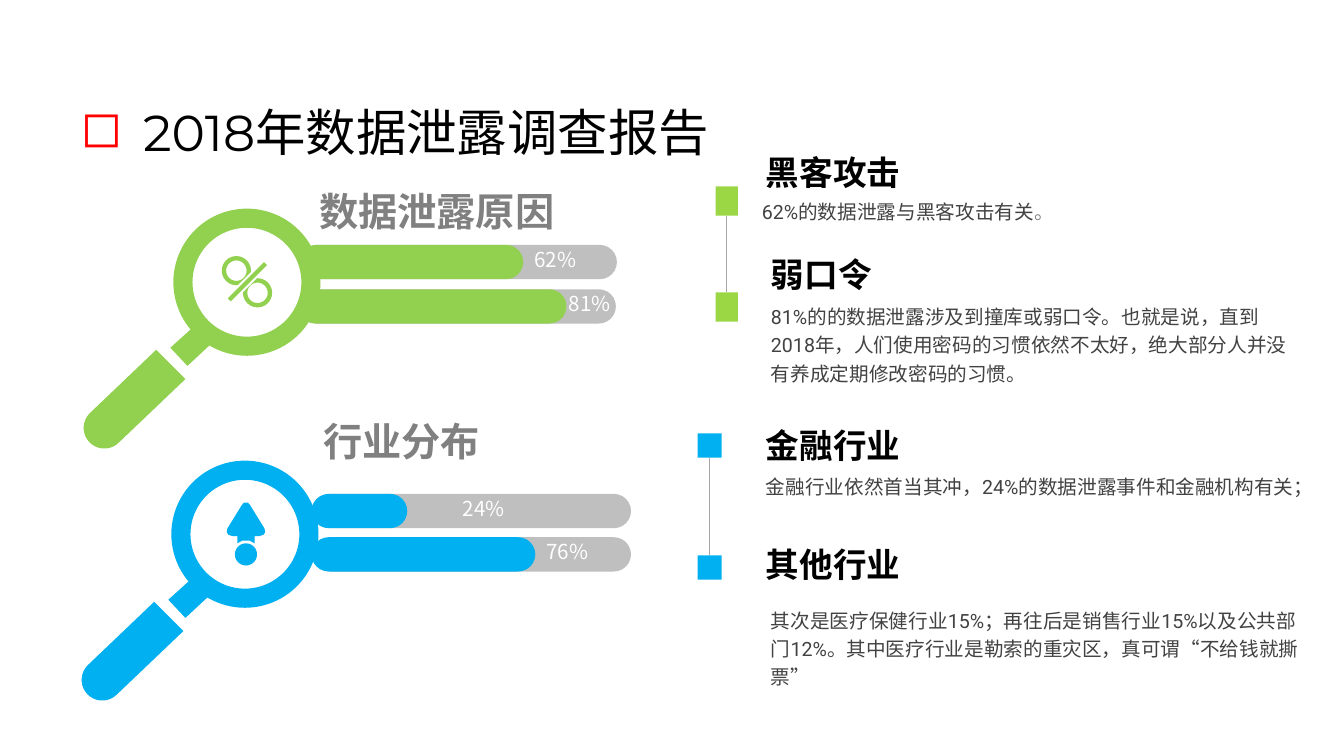
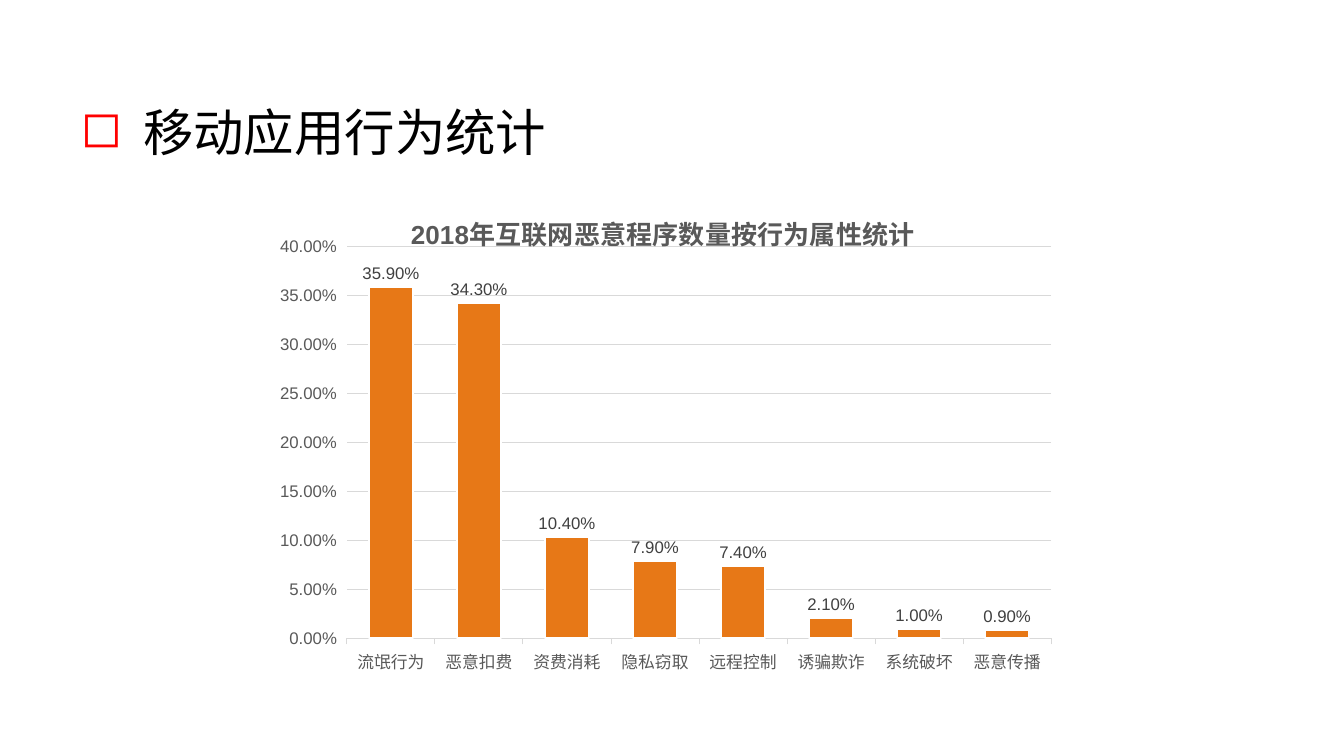
from dataclasses import dataclass
from math import cos, radians, sin

from lxml.etree import SubElement
from pptx import Presentation
from pptx.chart.data import CategoryChartData
from pptx.dml.color import RGBColor
from pptx.enum.chart import XL_CHART_TYPE, XL_LABEL_POSITION
from pptx.enum.lang import MSO_LANGUAGE_ID
from pptx.enum.shapes import MSO_CONNECTOR, MSO_SHAPE
from pptx.enum.text import MSO_ANCHOR, MSO_AUTO_SIZE, PP_ALIGN
from pptx.oxml.ns import qn
from pptx.util import Inches, Pt


@dataclass(frozen=True)
class Theme:
    """Colours, fonts and type sizes of the deck."""
    black: str = "000000"
    white: str = "FFFFFF"
    red: str = "FF0000"
    green: str = "92D050"
    lime: str = "9BD744"
    blue: str = "00B0F0"
    amber: str = "E77817"
    track: str = "BFBFBF"
    wire: str = "A6A6A6"
    grid: str = "D9D9D9"
    gray: str = "808080"
    dark: str = "424242"
    axis: str = "595959"
    label: str = "404040"
    hans: str = "Noto Sans CJK SC"
    body: str = "Roboto"
    head: str = "Montserrat"
    plain: str = "Arial"
    title: float = 36
    group: float = 28
    topic: float = 24
    text: float = 14
    value: float = 14.7
    tick: float = 12
    chart: float = 18.6


T = Theme()


def cell(count):
    """Turn grid cells of a tenth of an inch into a length."""
    return Inches(count / 10)


def rgb(code):
    """Turn a hex code into a colour."""
    return RGBColor.from_string(code)


def tint(font, size, color, name=T.plain):
    """Set size, colour and face of a font."""
    font.size, font.name = Pt(size), name
    font.color.rgb = rgb(color)


def put(para, text, size=T.text, color=T.dark, font=T.body, bold=False,
        lead=None, align=None):
    """Add a formatted run to a paragraph."""
    run = para.add_run()
    run.text = text
    tint(run.font, size, color, font)
    run.font.bold = bold
    run.font.language_id = MSO_LANGUAGE_ID.SIMPLIFIED_CHINESE
    face = SubElement(run.font._element, qn("a:ea"))
    face.set("typeface", T.hans)
    if lead:
        para.line_spacing = lead
    if align:
        para.alignment = align


def pin(node, index, **marks):
    """Give a chart part a manual layout."""
    old = node.find(qn("c:layout"))
    if old is not None:
        node.remove(old)
    root = node.makeelement(qn("c:layout"), {})
    node.insert(index, root)
    inner = SubElement(root, qn("c:manualLayout"))
    for tag, mark in marks.items():
        SubElement(inner, qn("c:" + tag)).set("val", str(mark))


class Deck:
    """Hold the presentation, its style and the current slide."""

    def __init__(self):
        """Open a wide deck."""
        self.file = Presentation()
        self.file.slide_width = cell(133.33)
        self.file.slide_height = cell(75)

    def page(self, title):
        """Start a slide with a bulleted title."""
        self.slide = self.file.slides.add_slide(self.file.slide_layouts[5])
        self.shapes = self.slide.shapes
        box = self.shapes.title
        box.left, box.top, box.width, box.height = map(cell, (7, 10.7, 113.5, 5.5))
        frame = box.text_frame
        frame.auto_size = MSO_AUTO_SIZE.NONE
        frame.vertical_anchor = MSO_ANCHOR.MIDDLE
        para = frame.paragraphs[0]
        props = para._p.get_or_add_pPr()
        props.set("marL", str(cell(6.2)))
        props.set("indent", str(-cell(6.2)))
        color = SubElement(props, qn("a:buClr"))
        SubElement(color, qn("a:srgbClr")).set("val", T.red)
        SubElement(props, qn("a:buChar")).set("char", "◻")
        put(para, title, T.title, T.black, T.head, lead=0.9, align=PP_ALIGN.LEFT)

    def text(self, words, x, y, w, h, pad=True, wrap=True, **form):
        """Add a text box and return its paragraph."""
        frame = self.shapes.add_textbox(*map(cell, (x, y, w, h))).text_frame
        frame.word_wrap = wrap
        if not pad:
            frame.margin_left = frame.margin_right = 0
            frame.margin_top = frame.margin_bottom = 0
        para = frame.paragraphs[0]
        put(para, words, **form)
        return para

    def paint(self, shape, color):
        """Fill a shape flat."""
        shape.shadow.inherit = False
        shape.fill.solid()
        shape.fill.fore_color.rgb = rgb(color)
        shape.line.fill.background()
        return shape

    def shape(self, kind, x, y, w, h, color, bend=None):
        """Add a preset shape."""
        form = self.shapes.add_shape(kind, *map(cell, (x, y, w, h)))
        if bend is not None:
            form.adjustments[0] = bend
        return self.paint(form, color)

    def form(self, spots, x, y, color):
        """Add a closed outline placed from a corner."""
        spots = [(cell(x + a), cell(y + b)) for a, b in spots]
        pen = self.shapes.build_freeform(*spots[0])
        pen.add_line_segments(spots[1:], close=True)
        return self.paint(pen.convert_to_shape(), color)

    def line(self, x, y, u, v, color, width):
        """Add a straight line."""
        wire = self.shapes.add_connector(
            MSO_CONNECTOR.STRAIGHT, *map(cell, (x, y, u, v)))
        wire.line.color.rgb = rgb(color)
        wire.line.width = Pt(width)
        SubElement(wire._element.spPr, qn("a:effectLst"))
        return wire

    def link(self, x, y, gap, w, h, color):
        """Add two squares joined by a thin line."""
        top, low = [self.shape(MSO_SHAPE.RECTANGLE, x, at, w, h, color)
                    for at in (y, y + gap)]
        mid = x + w / 2
        wire = self.line(mid, y + h, mid, y + gap, T.wire, 0.5)
        wire.begin_connect(top, 2)
        wire.end_connect(low, 0)

    def bar(self, x, y, start, width, color, words, mid):
        """Add a progress bar with its value."""
        for left, size, fill in ((x, 31.5, T.track), (start, width, color)):
            self.shape(MSO_SHAPE.ROUNDED_RECTANGLE, left, y, size, 3.4, fill, 0.5)
        self.text(words, mid - 3.6, y - 0.3, 7.2, 3.7, pad=False, size=T.value,
                  color=T.white, font=T.hans, lead=1.2, align=PP_ALIGN.CENTER)

    def lens(self, x, y, color):
        """Add a magnifying glass."""
        self.shape(MSO_SHAPE.DONUT, x, y, 14.6, 14.6, color, 0.13)
        self.form([(4.3, 12.9), (1.4, 15.6), (-0.3, 13.8), (2.7, 11.1)], x, y, color)
        turn = [radians(a) for a in range(225, 44, -10)]
        cap = [(2.05 * cos(a) - 6.85, 2.05 * sin(a) + 21.75) for a in turn]
        self.form([(-1.7, 14), *cap, (1.2, 16.9)], x, y, color)

    def ratio(self, x, y, color):
        """Add a percent sign."""
        for left, top in ((0, 0), (2.1, 2.2)):
            self.shape(MSO_SHAPE.DONUT, x + left, y + top, 2.9, 2.9, color, 0.15)
        for ink, width in ((T.white, 6), (color, 3)):
            self.line(x + 0.75, y + 4.35, x + 4.35, y + 0.75, ink, width)

    def arrow(self, x, y, color):
        """Add an upward arrow over a ball, centred on x."""
        half = [(0.2, 0.07), (0.4, 0.3), (1.85, 2.65), (1.9, 3), (1.75, 3.25),
                (1.3, 3.4), (0.85, 3.4), (0.85, 4.1), (0.4, 3.85)]
        self.form(half + [(-a, b) for a, b in reversed(half)], x, y, color)
        self.shape(MSO_SHAPE.OVAL, x - 1.1, y + 4.1, 2.2, 2.2, color)

    def chart(self, title, rows, x, y, w, h):
        """Add a column chart of shares."""
        data = CategoryChartData(number_format="0.00%")
        data.categories = list(rows)
        data.add_series("Series 1", list(rows.values()))
        chart = self.shapes.add_chart(
            XL_CHART_TYPE.COLUMN_CLUSTERED, *map(cell, (x, y, w, h)), data).chart
        tint(chart.font, 10, T.black)
        chart.has_legend = False
        head = chart.chart_title
        put(head.text_frame.paragraphs[0], title, T.chart, T.axis, T.plain, bold=True)
        pin(head._element, 1, xMode="edge", yMode="edge", x=0.18, y=0.04)
        plot = chart.plots[0]
        pin(plot._element.getparent(), 0, layoutTarget="inner", xMode="edge",
            yMode="edge", x=0.106, y=0.114, w=0.88, h=0.714)
        plot.gap_width, plot.vary_by_categories = 100, False
        bars = plot.series[0].format
        bars.fill.solid()
        bars.fill.fore_color.rgb = rgb(T.amber)
        bars.line.color.rgb = rgb(T.white)
        bars.line.width = Pt(1.5)
        plot.has_data_labels = True
        tags = plot.data_labels
        tags.show_value = True
        tags.position = XL_LABEL_POSITION.OUTSIDE_END
        tint(tags.font, T.tick, T.label)
        base, side = chart.category_axis, chart.value_axis
        for axis in (base, side):
            tint(axis.tick_labels.font, T.tick, T.axis)
        for part in (tags, side.tick_labels):
            part.number_format, part.number_format_is_linked = "0.00%", False
        side.minimum_scale, side.maximum_scale, side.major_unit = 0, 0.4, 0.05
        side.format.line.fill.background()
        for edge in (base.format.line, side.major_gridlines.format.line):
            edge.color.rgb = rgb(T.grid)
            edge.width = Pt(0.75)


def leaks(deck):
    """Build the slide on causes and industries."""
    deck.page("2018年数据泄露调查报告")
    for row in (
        (29.7, 24.3, 29.7, 22.2, T.green, "62%", 55.1),
        (29.6, 28.7, 29.6, 26.6, T.green, "81%", 58.5),
        (31.1, 49, 30.9, 9.5, T.blue, "24%", 48),
        (31.1, 53.3, 30.9, 22.2, T.blue, "76%", 56.3),
    ):
        deck.bar(*row)
    deck.lens(17.2, 20.7, T.green)
    deck.ratio(22, 25.4, T.green)
    deck.lens(17, 45.7, T.blue)
    deck.arrow(24.4, 49.8, T.blue)
    deck.link(71, 18.5, 10.5, 2.2, 2.9, T.lime)
    deck.link(69.2, 43, 12.1, 2.4, 2.4, T.blue)
    for words, x, y, w in (("数据泄露原因", 30.7, 18.1, 25.6),
                           ("行业分布", 31.1, 40.9, 17.7)):
        deck.text(words, x, y, w, 5.7, wrap=False, size=T.group, color=T.gray,
                  font=T.hans, bold=True)
    for words, x, y in (("黑客攻击", 75, 14.6), ("弱口令", 75.5, 24.7),
                        ("金融行业", 75, 41.7), ("其他行业", 75, 53.5)):
        deck.text(words, x, y, 15.5, 5, wrap=False, size=T.topic, color=T.black,
                  font=T.hans, bold=True)
    note = deck.text("62%的数据泄露与黑客攻击有关", 74.6, 18.9, 45.9, 3.6, lead=1.2)
    put(note, "。", color=T.gray, font=T.hans)
    for words, x, y, w, h in (
        ("81%的的数据泄露涉及到撞库或弱口令。也就是说，直到2018年，人们使用密码的习惯"
         "依然不太好，绝大部分人并没有养成定期修改密码的习惯。", 75.5, 29.3, 54.7, 9.5),
        ("金融行业依然首当其冲，24%的数据泄露事件和金融机构有关；", 75, 46.2, 55.2, 6.6),
        ("其次是医疗保健行业15%；再往后是销售行业15%以及公共部门12%。其中医疗行业是"
         "勒索的重灾区，真可谓“不给钱就撕票”", 75.5, 59.4, 55.2, 9.5),
    ):
        deck.text(words, x, y, w, h, lead=1.2)


def apps(deck):
    """Build the slide on mobile app behaviour."""
    deck.page("移动应用行为统计")
    rows = {"流氓行为": 0.359, "恶意扣费": 0.343, "资费消耗": 0.104, "隐私窃取": 0.079,
            "远程控制": 0.074, "诱骗欺诈": 0.021, "系统破坏": 0.01, "恶意传播": 0.009}
    deck.chart("2018年互联网恶意程序数量按行为属性统计", rows, 26, 18.3, 79.4, 54.4)


def main():
    """Build and save the deck."""
    deck = Deck()
    leaks(deck)
    apps(deck)
    deck.file.save("out.pptx")


if __name__ == "__main__":
    main()
